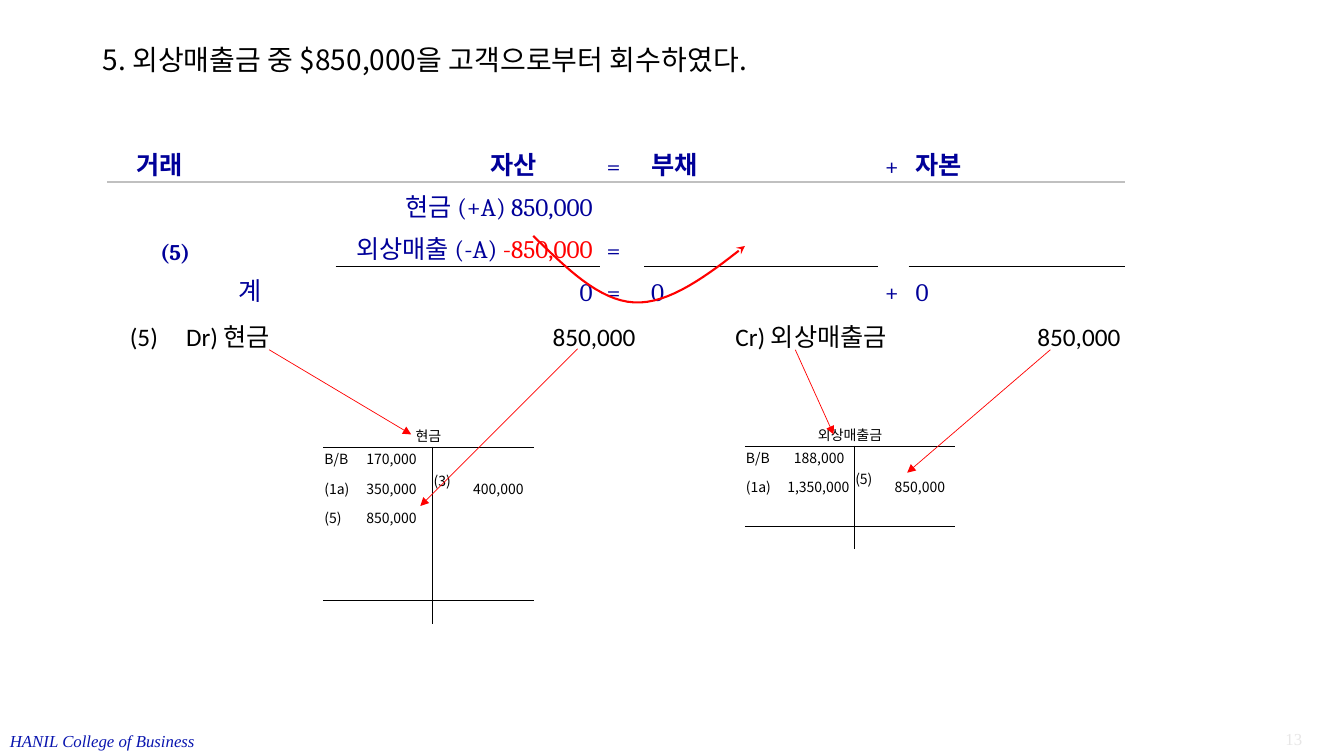
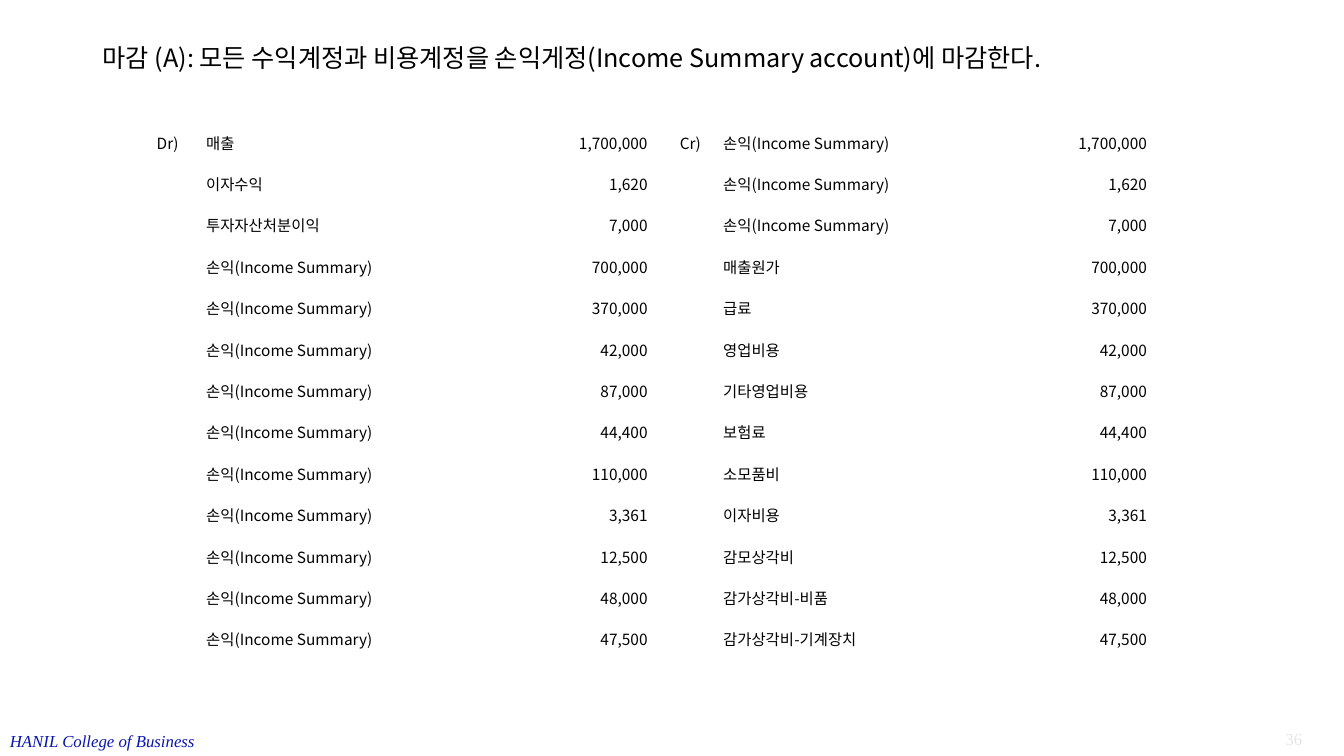
from dataclasses import dataclass, replace

from lxml.etree import SubElement
from pptx import Presentation
from pptx.dml.color import RGBColor as Color
from pptx.enum.shapes import MSO_CONNECTOR as Connector
from pptx.enum.text import MSO_ANCHOR as Anchor, PP_ALIGN as Align
from pptx.oxml.ns import qn
from pptx.util import Inches, Pt

COLUMNS = 160
ROWS = 90
SLIDE_WIDTH = Inches(13.33)
SLIDE_HEIGHT = Inches(7.5)
PLAIN_TABLE = "{2D5ABB26-0587-4C30-8999-92F81FD0307C}"


@dataclass(frozen=True)
class TextStyle:
    size: float
    font: str
    color: str
    bold: bool = False
    italic: bool = False
    kerned: bool = False


@dataclass(frozen=True)
class Theme:
    red: str = "FF0000"
    black: str = "000000"
    white: str = "FFFFFF"
    silver: str = "C0C0C0"
    korean: str = "Noto Sans CJK KR"
    title: TextStyle = TextStyle(20, "Noto Sans CJK KR", "000000", kerned=True)
    footer: TextStyle = TextStyle(12, "Times New Roman", "0915AF", italic=True)
    number: TextStyle = TextStyle(12, "Times New Roman", "E7E6E6")
    equation: TextStyle = TextStyle(18, "Cambria", "000099")
    entry: TextStyle = TextStyle(18, "Calibri", "000000")
    account: TextStyle = TextStyle(10, "Noto Sans CJK KR", "000000")
    closing: TextStyle = TextStyle(11, "Noto Sans CJK KR", "000000")


THEME = Theme()


@dataclass(frozen=True)
class Area:
    left: float
    top: float
    width: float
    height: float


@dataclass(frozen=True)
class Inset:
    left: float = 0.12
    right: float = 0.12


@dataclass(frozen=True)
class Posting:
    label: str
    amount: str
    inset: float = 1.92


@dataclass(frozen=True)
class Account:
    name: str
    left: float
    row_height: float
    debits: tuple[Posting, ...]
    credit: Posting
    empty_rows: int


@dataclass(frozen=True)
class Arrow:
    start: tuple[float, float]
    end: tuple[float, float]


ACCOUNTS = (
    Account("현금", 38.5, 2.82,
            (Posting("B/B", "170,000"), Posting("(1a)", "350,000"), Posting("(5)", "850,000")),
            Posting("(3)", "400,000", 1.2), 4),
    Account("외상매출금", 88.68, 2.7,
            (Posting("B/B", "188,000", 1.2), Posting("(1a)", "1,350,000", 0.6)),
            Posting("(5)", "850,000", 1.2), 2),
)
ARROWS = (
    Arrow((32.04, 41.64), (48.96, 51.72)),
    Arrow((68.76, 41.52), (50.04, 60.24)),
    Arrow((94.68, 41.64), (99.24, 51.72)),
    Arrow((125.04, 41.64), (108, 56.28)),
)
CURVES = (
    ((63.48, 28.08), (67.44, 31.92), (71.28, 35.76), (75.48, 36)),
    ((75.48, 36), (79.68, 36.24), (84.24, 32.76), (88.68, 29.28)),
)
SUMMARY = "손익(Income Summary)"
REVENUES = (
    Posting("매출", "1,700,000"),
    Posting("이자수익", "1,620"),
    Posting("투자자산처분이익", "7,000"),
)
EXPENSES = (
    Posting("매출원가", "700,000"),
    Posting("급료", "370,000"),
    Posting("영업비용", "42,000"),
    Posting("기타영업비용", "87,000"),
    Posting("보험료", "44,400"),
    Posting("소모품비", "110,000"),
    Posting("이자비용", "3,361"),
    Posting("감모상각비", "12,500"),
    Posting("감가상각비-비품", "48,000"),
    Posting("감가상각비-기계장치", "47,500"),
)


def across(columns: float) -> int:
    return round(SLIDE_WIDTH * columns / COLUMNS)


def down(rows: float) -> int:
    return round(SLIDE_HEIGHT * rows / ROWS)


def format_span(span, style: TextStyle) -> None:
    font = span.font
    font.size, font.name = Pt(style.size), style.font
    font.bold, font.italic = style.bold, style.italic
    font.color.rgb = Color.from_string(style.color)
    properties = span._r.get_or_add_rPr()
    SubElement(properties, qn("a:ea"), typeface=THEME.korean)
    if style.kerned:
        properties.set("kern", "1200")


def write(frame, text: str, style: TextStyle, align=Align.LEFT, spacing: float = 1) -> None:
    frame.text = text
    for para in frame.paragraphs:
        para.alignment, para.line_spacing = align, spacing
        for span in para.runs:
            format_span(span, style)


def add_text(page, area: Area, text: str, style: TextStyle, align=Align.LEFT,
             spacing: float = 1):
    box = page.shapes.add_textbox(across(area.left), down(area.top),
                                  across(area.width), down(area.height))
    frame = box.text_frame
    frame.word_wrap, frame.vertical_anchor = True, Anchor.MIDDLE
    frame.margin_top = frame.margin_bottom = 0
    write(frame, text, style, align, spacing)
    return frame


def add_page(deck, title: str, title_style: TextStyle, title_height: float, number: int):
    page = deck.slides.add_slide(deck.slide_layouts[6])
    add_text(page, Area(0, 86.4, 26, 3.6), "HANIL College of Business", THEME.footer)
    add_text(page, Area(144.2, 86.2, 12, 3.6), str(number), THEME.number, Align.RIGHT)
    add_text(page, Area(11.04, 4.8, 138, title_height), title, title_style, spacing=0.9)
    return page


def add_grid(page, left: float, top: float, widths: list[float], heights: list[float]):
    frame = page.shapes.add_table(len(heights), len(widths), across(left), down(top),
                                  across(sum(widths)), down(sum(heights)))
    table = frame.table
    table.first_row = table.horz_banding = False
    table._tbl.tblPr.find(qn("a:tableStyleId")).text = PLAIN_TABLE
    for column, width in zip(table.columns, widths):
        column.width = across(width)
    for row, height in zip(table.rows, heights):
        row.height = down(height)
    for cell in table.iter_cells():
        cell.margin_top = cell.margin_bottom = 0
        SubElement(cell.text_frame.paragraphs[0]._p, qn("a:endParaRPr"), sz="1000")
    return table


def fill_cell(cell, text: str, style: TextStyle, align=Align.LEFT, inset: Inset = Inset(),
              anchor=Anchor.MIDDLE, spacing: float = 1) -> None:
    cell.margin_left, cell.margin_right = across(inset.left), across(inset.right)
    cell.vertical_anchor = anchor
    write(cell.text_frame, text, style, align, spacing)


def draw_border(cell, side: str, color: str, width: float) -> None:
    line = SubElement(cell._tc.get_or_add_tcPr(), qn(f"a:ln{side}"), w=str(Pt(width)))
    SubElement(SubElement(line, qn("a:solidFill")), qn("a:srgbClr"), val=color)


def add_arrowhead(shape, kind: str) -> None:
    SubElement(shape.line._get_or_add_ln(), qn("a:tailEnd"), type=kind)


def add_equation(page) -> None:
    widths = [7.85, 1.92, 1.92, 1.2, 13.39, 10.92, 7.68, 3.84, 9,
              5.28, 27.84, 3.66, 25.8, 3.24, 1.92]
    table = add_grid(page, 12.74, 12.72, widths, [3.96, 5, 10, 5, 3])
    plain = THEME.equation
    bold = replace(plain, bold=True)
    inset = Inset(0.84, 0.84)
    spans = (
        ((1, 2), (3, 6)),
        ((0, 4), (6, 8), (13, 14)),
        ((0, 1), (2, 4), (5, 8), (13, 14)),
        ((0, 1), (2, 3), (5, 8), (13, 14)),
        ((0, 1), (2, 4), (5, 8), (13, 14)),
    )
    for row, ranges in enumerate(spans):
        for first, last in ranges:
            table.cell(row, first).merge(table.cell(row, last))
    entries = (
        (1, 0, "거래", bold, Align.LEFT, Inset(3.5, 0.84), 1.15),
        (1, 6, "자산", bold, Align.CENTER, inset, 1.15),
        (1, 9, "=", plain, Align.LEFT, inset, 1),
        (1, 10, "부채", bold, Align.LEFT, inset, 1),
        (1, 11, "+", plain, Align.LEFT, inset, 1),
        (1, 12, "자본", bold, Align.LEFT, inset, 1),
        (2, 0, "(5)", replace(bold, size=16), Align.RIGHT, inset, 1.15),
        (2, 5, "현금 (+A) 850,000\n외상매출 (-A) ", plain, Align.RIGHT, inset, 1.15),
        (2, 9, "=", plain, Align.LEFT, inset, 1),
        (3, 4, "계", plain, Align.LEFT, Inset(1.8, 0.84), 1.15),
        (3, 5, "0", plain, Align.RIGHT, inset, 1.15),
        (3, 9, "=", plain, Align.LEFT, inset, 1),
        (3, 10, "0", plain, Align.LEFT, inset, 1),
        (3, 11, "+", plain, Align.LEFT, inset, 1),
        (3, 12, "0", plain, Align.LEFT, inset, 1),
    )
    for row, column, text, style, align, margins, spacing in entries:
        fill_cell(table.cell(row, column), text, style, align, margins, Anchor.BOTTOM, spacing)
    decrease = table.cell(2, 5).text_frame.paragraphs[-1].add_run()
    decrease.text = "-850,000"
    format_span(decrease, replace(plain, color=THEME.red))
    for column in range(13):
        draw_border(table.cell(1, column), "B", THEME.silver, 1.5)
    for column in (5, 6, 7, 8, 10, 12):
        draw_border(table.cell(2, column), "B", THEME.black, 0.75)
    for cell in table.iter_cells():
        cell.fill.solid()
        cell.fill.fore_color.rgb = Color.from_string(THEME.white)


def add_entry(page) -> None:
    text = "(5)\tDr) 현금\t850,000\tCr) 외상매출금\t850,000"
    frame = add_text(page, Area(14.28, 37.68, 128.4, 4.8), text, THEME.entry)
    tabs = SubElement(frame.paragraphs[0]._p.get_or_add_pPr(), qn("a:tabLst"))
    for position, side in ((6.7, "l"), (60.2, "r"), (72.08, "l"), (117.92, "r")):
        SubElement(tabs, qn("a:tab"), pos=str(across(position)), algn=side)


def curve_points(curve, steps: int = 16) -> list[tuple[int, int]]:
    points = []
    for step in range(steps + 1):
        share = step / steps
        rest = 1 - share
        weights = (rest ** 3, 3 * rest ** 2 * share, 3 * rest * share ** 2, share ** 3)
        x, y = (sum(w * point[axis] for w, point in zip(weights, curve)) for axis in (0, 1))
        points.append((across(x), down(y)))
    return points


def add_transfer_curve(page) -> None:
    points = [point for curve in CURVES for point in curve_points(curve)]
    builder = page.shapes.build_freeform(*points[0])
    builder.add_line_segments(points[1:], close=False)
    shape = builder.convert_to_shape()
    shape.shadow.inherit = False
    shape.fill.background()
    shape.line.color.rgb = Color.from_string(THEME.red)
    shape.line.width = Pt(1.5)
    add_arrowhead(shape, "stealth")


def add_account(page, account: Account) -> None:
    count = 1 + len(account.debits) + account.empty_rows
    heights = [account.row_height] * count
    heights[2] = 4.15
    table = add_grid(page, account.left, 50.4, [4.32, 8.7, 3.24, 8.76], heights)
    table.cell(0, 0).merge(table.cell(0, 3))
    fill_cell(table.cell(0, 0), account.name, THEME.account, Align.CENTER)
    for row, debit in enumerate(account.debits, 1):
        fill_cell(table.cell(row, 0), debit.label, THEME.account)
        fill_cell(table.cell(row, 1), debit.amount, THEME.account, Align.RIGHT,
                  Inset(right=debit.inset))
    credit = account.credit
    fill_cell(table.cell(2, 2), credit.label, THEME.account, anchor=Anchor.TOP)
    fill_cell(table.cell(2, 3), credit.amount, THEME.account, Align.RIGHT,
              Inset(right=credit.inset))
    for row in range(1, count):
        draw_border(table.cell(row, 1), "R", THEME.black, 0.5)
    for row in (0, count - 2):
        for column in range(4):
            draw_border(table.cell(row, column), "B", THEME.black, 0.5)
    for cell in table.iter_cells():
        cell.fill.background()


def add_arrow(page, arrow: Arrow) -> None:
    (x1, y1), (x2, y2) = arrow.start, arrow.end
    line = page.shapes.add_connector(Connector.STRAIGHT, across(x1), down(y1), across(x2), down(y2))
    line.line.color.rgb = Color.from_string(THEME.red)
    line.line.width = Pt(0.5)
    add_arrowhead(line, "triangle")
    SubElement(line._element.spPr, qn("a:effectLst"))


def add_closing_entries(page) -> None:
    rows = [(item.label, SUMMARY, item.amount) for item in REVENUES]
    rows += [(SUMMARY, item.label, item.amount) for item in EXPENSES]
    widths = [5.88, 38.76, 14.04, 3.6, 5.16, 37.26, 13.44]
    table = add_grid(page, 18.54, 14.48, widths, [4.93] * len(rows))
    for row, (debit, credit, amount) in enumerate(rows):
        marks = ("Dr)", "Cr)") if row == 0 else ("", "")
        texts = (marks[0], debit, amount, "", marks[1], credit, amount)
        for column, text in enumerate(texts):
            if text:
                align = Align.RIGHT if column in (2, 6) else Align.LEFT
                fill_cell(table.cell(row, column), text, THEME.closing, align)
    for cell in table.iter_cells():
        cell.fill.background()


def main() -> None:
    deck = Presentation()
    deck.slide_width, deck.slide_height = SLIDE_WIDTH, SLIDE_HEIGHT
    collection = add_page(deck, "5. 외상매출금 중 $850,000을 고객으로부터 회수하였다.",
                          THEME.title, 5.04, 13)
    add_equation(collection)
    add_entry(collection)
    add_transfer_curve(collection)
    for account in ACCOUNTS:
        add_account(collection, account)
    for arrow in ARROWS:
        add_arrow(collection, arrow)
    closing = add_page(
        deck, "마감 (A): 모든 수익계정과 비용계정을 손익게정(Income Summary account)에 마감한다.",
        replace(THEME.title, size=18), 4.44, 36)
    add_closing_entries(closing)
    deck.save("out.pptx")


if __name__ == "__main__":
    main()
